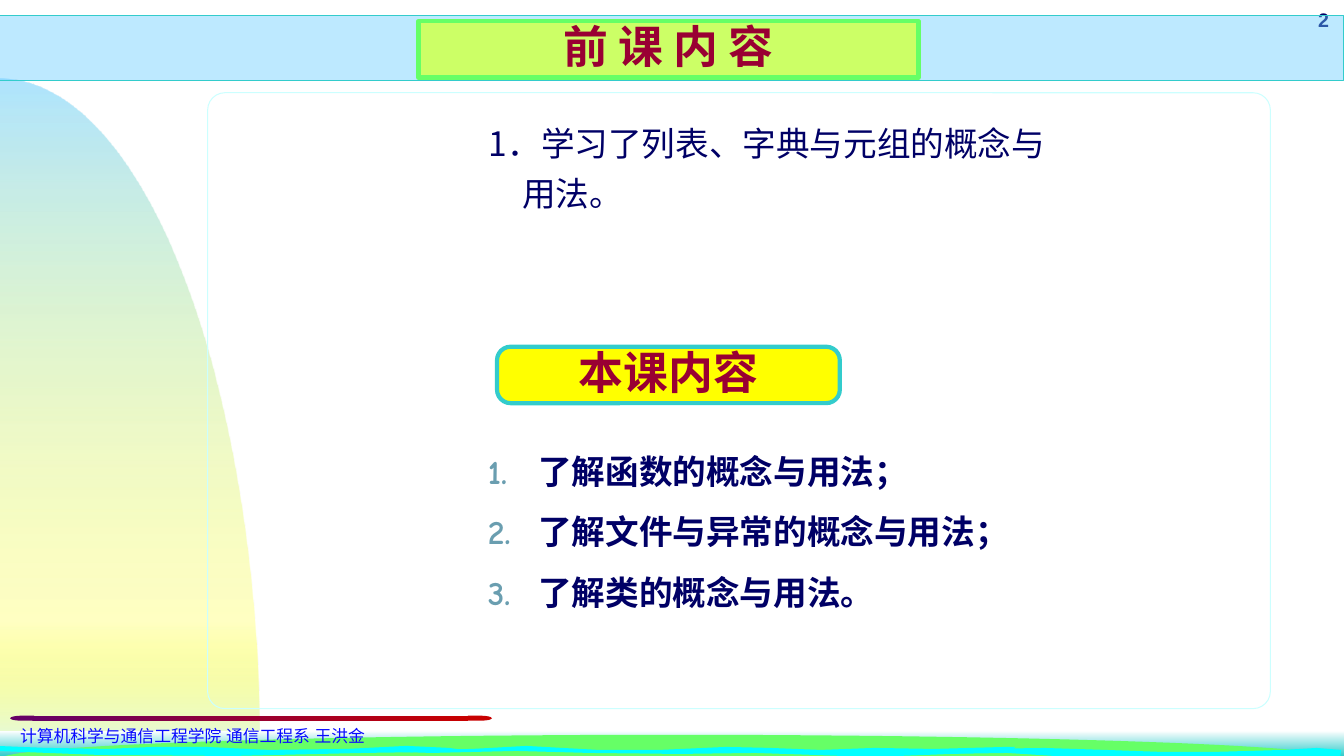
from math import cos, pi, sin

from lxml import etree
from pptx import Presentation
from pptx.dml.color import RGBColor
from pptx.enum.shapes import MSO_SHAPE
from pptx.enum.text import MSO_ANCHOR, MSO_AUTO_SIZE, PP_ALIGN
from pptx.oxml.ns import qn
from pptx.util import Inches, Pt

RECT = MSO_SHAPE.RECTANGLE
ROUNDED = MSO_SHAPE.ROUNDED_RECTANGLE
DELAY = MSO_SHAPE.FLOWCHART_DELAY
MIDDLE = MSO_ANCHOR.MIDDLE
NO_FIT = MSO_AUTO_SIZE.NONE
LEFT, CENTER, RIGHT = PP_ALIGN.LEFT, PP_ALIGN.CENTER, PP_ALIGN.RIGHT

WHITE = RGBColor(0xFF, 0xFF, 0xFF)
SKY = RGBColor(0x66, 0xCC, 0xFF)
YELLOW = RGBColor(0xFF, 0xFF, 0x00)
PALE_AQUA = RGBColor(0xDF, 0xF9, 0xF9)
FRAME_AQUA = RGBColor(0xCC, 0xFF, 0xFF)
TEAL = RGBColor(0x33, 0xCC, 0xCC)
CYAN = RGBColor(0x00, 0xFF, 0xFF)
GREEN = RGBColor(0x66, 0xFF, 0x66)
LIME = RGBColor(0xCC, 0xFF, 0x66)
PURPLE = RGBColor(0x66, 0x00, 0x66)
RED = RGBColor(0xC8, 0x00, 0x00)
CRIMSON = RGBColor(0x99, 0x00, 0x33)
NAVY = RGBColor(0x00, 0x00, 0x66)
BLUE = RGBColor(0x0A, 0x0A, 0xFF)
NUMBER_GREY = RGBColor(0x6A, 0x9E, 0xB0)

HEADING_FONT = "Noto Sans CJK SC"
BODY_FONT = "Comic Neue"
NUMBER_FONT = "Noto Sans CJK JP"
SMALL_FONT = "Arial"

WAVES = [
    [(9.7, 7.43), (10.36, 7.42), (10.97, 7.44), (11.53, 7.46), (12.03, 7.46),
     (12.73, 7.44), (13.06, 7.42), (13.3, 7.44), (13.29, 7.53), (13.09, 7.51),
     (12.57, 7.51), (12.07, 7.5), (11.33, 7.52), (10.46, 7.5), (9.99, 7.47),
     (9.37, 7.48)],
    [(10.07, 7.41), (10.03, 7.45), (9.44, 7.48), (8.64, 7.51), (8.09, 7.49),
     (7.49, 7.47), (6.73, 7.48), (5.85, 7.47), (5.12, 7.45), (4.28, 7.47),
     (3.98, 7.46), (4.14, 7.44), (4.68, 7.43), (5.22, 7.4), (5.94, 7.44),
     (6.54, 7.44), (7.2, 7.41), (7.64, 7.42), (8.14, 7.44), (8.67, 7.42),
     (9.26, 7.43), (9.97, 7.41)],
    [(4.34, 7.46), (3.62, 7.47), (2.3, 7.5), (0.98, 7.49), (-0.04, 7.45),
     (-0.04, 7.4), (0.45, 7.42), (1.06, 7.43), (1.53, 7.41), (2.04, 7.41),
     (2.66, 7.44), (3.44, 7.43), (4.03, 7.4), (4.45, 7.42), (4.67, 7.45)],
]
GOALS = ["了解函数的概念与用法；", "了解文件与异常的概念与用法；", "了解类的概念与用法。"]


def set_alpha(color_element, percent):
    etree.SubElement(color_element, qn("a:alpha"), val=str(percent * 1000))


def paint(shape, fill=None, line=None, width=0.75):
    if fill is None:
        shape.fill.background()
    else:
        shape.fill.solid()
        shape.fill.fore_color.rgb = fill
    if line is None:
        shape.line.fill.background()
    else:
        shape.line.color.rgb = line
        shape.line.width = Pt(width)


def paint_gradient(shape, stops, angle):
    shape.fill.gradient()
    gradient = shape.fill._xPr.find(qn("a:gradFill"))
    stop_list = gradient.find(qn("a:gsLst"))
    for stop in list(stop_list):
        stop_list.remove(stop)
    for position, color, opacity in stops:
        stop = etree.SubElement(stop_list, qn("a:gs"), pos=str(position * 1000))
        set_alpha(etree.SubElement(stop, qn("a:srgbClr"), val=str(color)), opacity)
    gradient.find(qn("a:lin")).set("ang", str(angle * 60000))


def add_plain(page, kind, left, top, width, height, corner=None):
    shape = page.shapes.add_shape(kind, Inches(left), Inches(top), Inches(width), Inches(height))
    shape.shadow.inherit = False
    if corner is not None:
        shape.adjustments[0] = corner
    paint(shape)
    return shape


def add_outline(page, points):
    builder = page.shapes.build_freeform(
        Inches(points[0][0]), Inches(points[0][1]), scale=1.0)
    builder.add_line_segments([(Inches(x), Inches(y)) for x, y in points[1:]], close=True)
    shape = builder.convert_to_shape()
    shape.shadow.inherit = False
    paint(shape)
    return shape


def arc_points(center_x, base_y, radius_x, radius_y, sweep, steps=90):
    angles = [sweep * step / steps for step in range(steps + 1)]
    return [(center_x + radius_x * cos(a), base_y - radius_y * sin(a)) for a in angles]


def set_face(font, name):
    font.name = name
    etree.SubElement(font._element, qn("a:ea"), typeface=name)


def style(para, face, size, color, bold=False, align=LEFT, spacing=1.0):
    para.alignment = align
    para.line_spacing = spacing
    para.font.size = Pt(size)
    para.font.bold = bold
    para.font.color.rgb = color
    set_face(para.font, face)


def add_box(page, left, top, width, height):
    box = page.shapes.add_textbox(Inches(left), Inches(top), Inches(width), Inches(height))
    box.text_frame.word_wrap = True
    return box.text_frame


def set_indent(para, left, first):
    properties = para._p.get_or_add_pPr()
    properties.set("marL", str(Inches(left)))
    properties.set("indent", str(Inches(first)))
    return properties


def number_para(para):
    properties = set_indent(para, 0.5, -0.5)
    color = etree.Element(qn("a:buClr"))
    etree.SubElement(color, qn("a:srgbClr"), val=str(NUMBER_GREY))
    numbering = etree.Element(qn("a:buAutoNum"), type="arabicPeriod")
    defaults = properties.find(qn("a:defRPr"))
    defaults.addprevious(color)
    defaults.addprevious(numbering)


def write_heading(shape, text):
    frame = shape.text_frame
    frame.text = text
    frame.auto_size = NO_FIT
    frame.vertical_anchor = MIDDLE
    style(frame.paragraphs[0], HEADING_FONT, 32, CRIMSON, True, CENTER, 0.9)


def place_title(page):
    title = page.shapes.title
    title.left, title.top, title.width, title.height = map(Inches, (4.15, 0.21, 4.96, 0.56))
    geometry = etree.Element(qn("a:prstGeom"), prst="roundRect")
    guides = etree.SubElement(geometry, qn("a:avLst"))
    etree.SubElement(guides, qn("a:gd"), name="adj", fmla="val 24000")
    title._element.spPr.find(qn("a:xfrm")).addnext(geometry)
    paint(title, LIME, GREEN, 3)
    write_heading(title, "前 课 内 容")
    page.shapes._spTree.append(title._element)


def add_scenery(page):
    hill = add_outline(page, arc_points(0, 7.5, 2.57, 6.72, pi / 2) + [(0, 7.5)])
    paint_gradient(hill, [(0, SKY, 52), (80, YELLOW, 23), (100, PALE_AQUA, 100)], 90)
    water = add_plain(page, RECT, 0, 7.25, 13.33, 0.25)
    paint_gradient(water, [(0, WHITE, 100), (100, TEAL, 100)], 90)
    paint(add_outline(page, arc_points(6.66, 7.53, 6.66, 0.24, pi)), GREEN)
    for wave in WAVES:
        paint(add_outline(page, wave), CYAN)


def add_footer(page):
    bar = add_plain(page, RECT, 0.32, 7.1, 4.32, 0.05)
    paint_gradient(bar, [(0, PURPLE, 100), (100, RED, 100)], 0)
    left_cap = add_plain(page, DELAY, 0.1, 7.1, 0.24, 0.05)
    left_cap._element.spPr.find(qn("a:xfrm")).set("flipH", "1")
    paint(left_cap, PURPLE)
    paint(add_plain(page, DELAY, 4.64, 7.1, 0.24, 0.05), RED)
    para = add_box(page, 0.1, 7.15, 4.88, 0.3).paragraphs[0]
    para.text = "计算机科学与通信工程学院 通信工程系 王洪金"
    style(para, SMALL_FONT, 12, BLUE)


def add_review(page):
    para = add_box(page, 4.23, 1.07, 6.3, 1.1).paragraphs[0]
    for text, face in (("1．", NUMBER_FONT), ("学习了列表、字典与元组的概念与用法。", BODY_FONT)):
        span = para.add_run()
        span.text = text
        set_face(span.font, face)
    style(para, BODY_FONT, 24, NAVY, spacing=1.24)
    set_indent(para, 0.85, -0.33)


def add_goals(page):
    frame = add_box(page, 4.74, 4.22, 5.59, 1.97)
    frame.text = "\n".join(GOALS)
    for para in frame.paragraphs:
        style(para, BODY_FONT, 24, NAVY, True, spacing=1.5)
        number_para(para)


def main():
    deck = Presentation()
    deck.slide_width, deck.slide_height = Inches(13.33), Inches(7.5)
    page = deck.slides.add_slide(deck.slide_layouts[5])
    add_scenery(page)
    number = add_box(page, 12.44, 0.03, 0.84, 0.33).paragraphs[0]
    number.text = "2"
    style(number, SMALL_FONT, 14, NAVY, True, RIGHT)
    paint(add_plain(page, ROUNDED, 2.06, 0.92, 10.54, 6.11, 0.028), line=FRAME_AQUA)
    add_footer(page)
    band = add_plain(page, RECT, 0, 0.15, 13.33, 0.65)
    paint(band, SKY, TEAL)
    set_alpha(band.fill._xPr.find(qn("a:solidFill"))[0], 43)
    place_title(page)
    lesson = add_plain(page, ROUNDED, 4.93, 3.44, 3.4, 0.56, 0.24)
    paint(lesson, YELLOW, TEAL, 3)
    write_heading(lesson, "本课内容")
    add_review(page)
    add_goals(page)
    deck.save("out.pptx")


if __name__ == "__main__":
    main()
